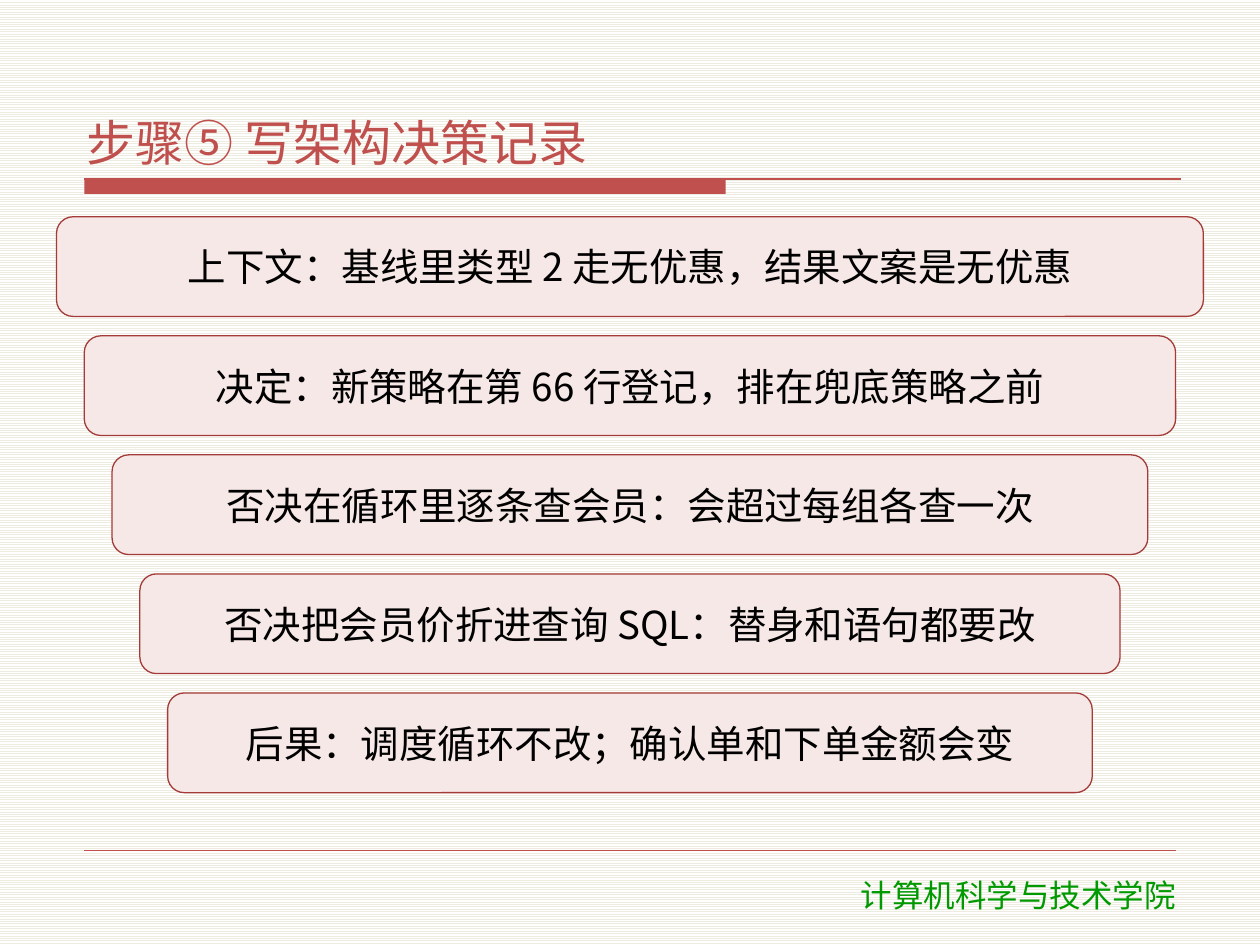
import pptx
import pptx.dml.color
import pptx.enum.dml
import pptx.enum.shapes
import pptx.enum.text
import pptx.oxml
import pptx.oxml.ns
import pptx.util
from dataclasses import dataclass
from pptx.util import Cm

HEADING = "步骤⑤ 写架构决策记录"
DECISION_RECORD = [
    "上下文：基线里类型 2 走无优惠，结果文案是无优惠",
    "决定：新策略在第 66 行登记，排在兜底策略之前",
    "否决在循环里逐条查会员：会超过每组各查一次",
    "否决把会员价折进查询 SQL：替身和语句都要改",
    "后果：调度循环不改；确认单和下单金额会变",
]
COLLEGE = "计算机科学与技术学院"


@dataclass(frozen=True)
class Theme:
    accent: str = "C0504D"
    step_fill: str = "F6E8E6"
    step_line: str = "A33B38"
    step_text: str = "000000"
    college: str = "009900"
    stripe: str = "EEECE1"
    paper: str = "FFFFFF"
    font: str = "Noto Sans CJK SC"
    college_font: str = "DejaVu Sans"
    heading_size: int = 28
    step_size: int = 22
    college_size: int = 18


THEME = Theme()
ALIGN = pptx.enum.text.PP_ALIGN
ANCHOR = pptx.enum.text.MSO_ANCHOR

SLIDE_WIDTH, SLIDE_HEIGHT = 25.4, 19.05
STEP_LEFT, STEP_INDENT = 1.14, 0.56
STEP_TOP, STEP_PITCH, STEP_HEIGHT = 4.37, 2.4, 2.01
RULE_LEFT, RULE_TOP = 1.7, 3.61


def rgb(code):
    return pptx.dml.color.RGBColor.from_string(code)


def write(frame, words, size, color, font, align, anchor=ANCHOR.MIDDLE, after=2):
    frame.word_wrap = True
    frame.auto_size = pptx.enum.text.MSO_AUTO_SIZE.NONE
    frame.vertical_anchor = anchor
    frame.margin_left = frame.margin_right = Cm(0.15)
    frame.margin_top = frame.margin_bottom = Cm(0.05)
    paragraph = frame.paragraphs[0]
    paragraph.alignment = align
    paragraph.space_after = pptx.util.Pt(after)
    run = paragraph.add_run()
    run.text = words
    run.font.size = pptx.util.Pt(size)
    run.font.color.rgb = rgb(color)
    run.font.name = font
    east_asian = pptx.oxml.parse_xml(
        f'<a:ea {pptx.oxml.ns.nsdecls("a")} typeface="{font}"/>')
    run.font._element.find(pptx.oxml.ns.qn("a:latin")).addnext(east_asian)


def add_block(slide, preset, left, top, width, height, fill):
    block = slide.shapes.add_shape(preset, Cm(left), Cm(top), Cm(width), Cm(height))
    block.shadow.inherit = False
    block.fill.solid()
    block.fill.fore_color.rgb = rgb(fill)
    return block


def add_rule(slide, right, top, weight):
    rule = slide.shapes.add_connector(
        pptx.enum.shapes.MSO_CONNECTOR.STRAIGHT,
        Cm(RULE_LEFT), Cm(top), Cm(right), Cm(top))
    rule.line.color.rgb = rgb(THEME.accent)
    rule.line.width = pptx.util.Pt(weight)
    rule._element.spPr.append(
        pptx.oxml.parse_xml(f'<a:effectLst {pptx.oxml.ns.nsdecls("a")}/>'))


def add_heading(slide):
    title = slide.shapes.title
    title.left, title.top = Cm(1.6), Cm(0.84)
    title.width, title.height = Cm(22.22), Cm(2.67)
    write(title.text_frame, HEADING, THEME.heading_size, THEME.accent,
          THEME.font, ALIGN.LEFT, ANCHOR.BOTTOM)
    bar = add_block(slide, pptx.enum.shapes.MSO_SHAPE.RECTANGLE,
                    RULE_LEFT, RULE_TOP, 12.93, 0.3, THEME.accent)
    bar.line.fill.background()
    add_rule(slide, 23.8, RULE_TOP, 0.75)


def add_steps(slide):
    for index, words in enumerate(DECISION_RECORD):
        left = STEP_LEFT + index * STEP_INDENT
        step = add_block(slide, pptx.enum.shapes.MSO_SHAPE.ROUNDED_RECTANGLE,
                         left, STEP_TOP + index * STEP_PITCH,
                         SLIDE_WIDTH - 2 * left, STEP_HEIGHT, THEME.step_fill)
        step.line.color.rgb = rgb(THEME.step_line)
        step.line.width = pptx.util.Pt(0.75)
        write(step.text_frame, words, THEME.step_size, THEME.step_text,
              THEME.font, ALIGN.CENTER)


def add_footer(slide):
    add_rule(slide, SLIDE_WIDTH - RULE_LEFT, 17.15, 0.25)
    college = slide.shapes.add_textbox(Cm(15.42), Cm(17.53), Cm(10.21), Cm(1.02))
    write(college.text_frame, COLLEGE, THEME.college_size, THEME.college,
          THEME.college_font, ALIGN.CENTER, after=0)


def main():
    deck = pptx.Presentation()
    deck.slide_width, deck.slide_height = Cm(SLIDE_WIDTH), Cm(SLIDE_HEIGHT)
    slide = deck.slides.add_slide(deck.slide_layouts.get_by_name("Title Only"))
    paper = slide.background.fill
    paper.patterned()
    paper.pattern = pptx.enum.dml.MSO_PATTERN.LIGHT_HORIZONTAL
    paper.fore_color.rgb = rgb(THEME.stripe)
    paper.back_color.rgb = rgb(THEME.paper)
    add_heading(slide)
    add_steps(slide)
    add_footer(slide)
    deck.save("out.pptx")


if __name__ == "__main__":
    main()
